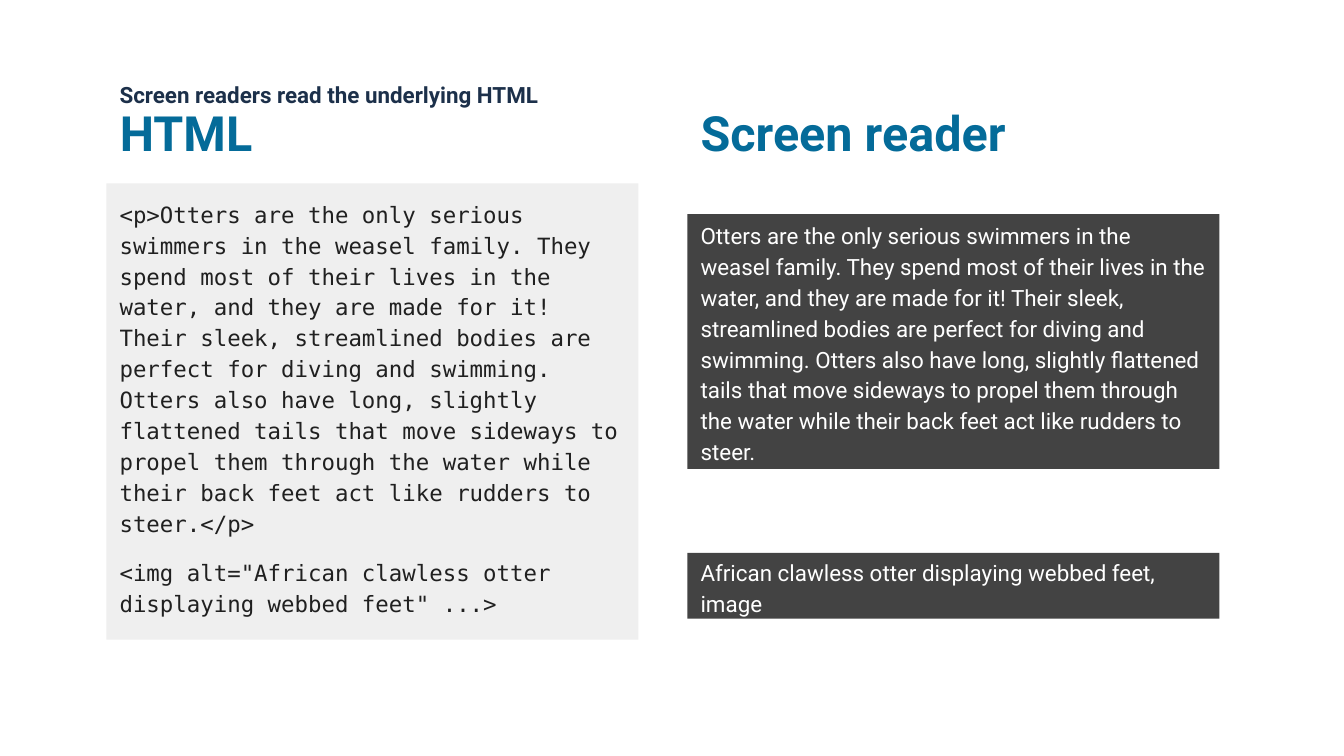
from pptx import Presentation
from pptx.dml.color import RGBColor
from pptx.enum.shapes import MSO_SHAPE
from pptx.enum.text import MSO_ANCHOR, MSO_AUTO_SIZE, PP_ALIGN
from pptx.util import Pt

PX = 9525  # EMU per px, 96 px to the inch
LEFT, RIGHT, COL_W = 76, 491, 380
HEAD_Y, HEAD_H = 64, 60

OTTERS = (
    "Otters are the only serious swimmers in the weasel family. "
    "They spend most of their lives in the water, and they are made for it! "
    "Their sleek, streamlined bodies are perfect for diving and swimming. "
    "Otters also have long, slightly flattened tails that move sideways to "
    "propel them through the water while their back feet act like rudders to steer."
)
ALT = "African clawless otter displaying webbed feet"


def rgb(value):
    return RGBColor.from_string(value)


def write(sp, lines, size, color, font="Roboto", bold=False,
          anchor=MSO_ANCHOR.TOP, spacing=1.15):
    tf = sp.text_frame
    tf.word_wrap = True
    tf.auto_size = MSO_AUTO_SIZE.NONE
    tf.vertical_anchor = anchor
    tf.margin_left = tf.margin_right = tf.margin_top = tf.margin_bottom = Pt(7.2)
    tf.text = "\n".join(lines)
    for i, p in enumerate(tf.paragraphs):
        p.alignment = PP_ALIGN.LEFT
        p.line_spacing = spacing
        p.space_before = Pt(10 if i else 0)
        p.space_after = Pt(10 if i else 0)
        for r in p.runs:
            r.font.name = font
            r.font.size = Pt(size)
            r.font.bold = bold
            r.font.color.rgb = rgb(color)


prs = Presentation()
prs.slide_width, prs.slide_height = 960 * PX, 540 * PX
s = prs.slides.add_slide(prs.slide_layouts[5])

# Column headings
title = s.shapes.title
title.left, title.top = LEFT * PX, HEAD_Y * PX
title.width, title.height = COL_W * PX, HEAD_H * PX
reader_head = s.shapes.add_textbox(RIGHT * PX, HEAD_Y * PX, COL_W * PX, HEAD_H * PX)
for sp, text in ((title, "HTML"), (reader_head, "Screen reader")):
    write(sp, [text], 26, "046B99", bold=True, spacing=1.0)

# HTML source and what the screen reader says
panels = [
    (LEFT, 131, 326, "EFEFEF", [f"<p>{OTTERS}</p>", f'<img alt="{ALT}" ...>'],
     "202020", "DejaVu Sans Mono", MSO_ANCHOR.TOP),
    (RIGHT, 153, 182, "434343", [OTTERS], "FFFFFF", "Roboto", MSO_ANCHOR.MIDDLE),
    (RIGHT, 395, 47, "434343", [f"{ALT}, image"], "FFFFFF", "Roboto", MSO_ANCHOR.MIDDLE),
]
for x, y, h, fill, lines, color, font, anchor in panels:
    sp = s.shapes.add_shape(MSO_SHAPE.RECTANGLE, x * PX, y * PX, COL_W * PX, h * PX)
    sp.shadow.inherit = False
    sp.fill.solid()
    sp.fill.fore_color.rgb = rgb(fill)
    sp.line.fill.background()
    write(sp, lines, 12, color, font=font, anchor=anchor)

# Line above the headings
kicker = s.shapes.add_textbox(LEFT * PX, 31 * PX, 527 * PX, 70 * PX)
write(kicker, ["Screen readers read the underlying HTML"], 12, "1C304A",
      bold=True, anchor=MSO_ANCHOR.MIDDLE)

prs.save("out.pptx")
